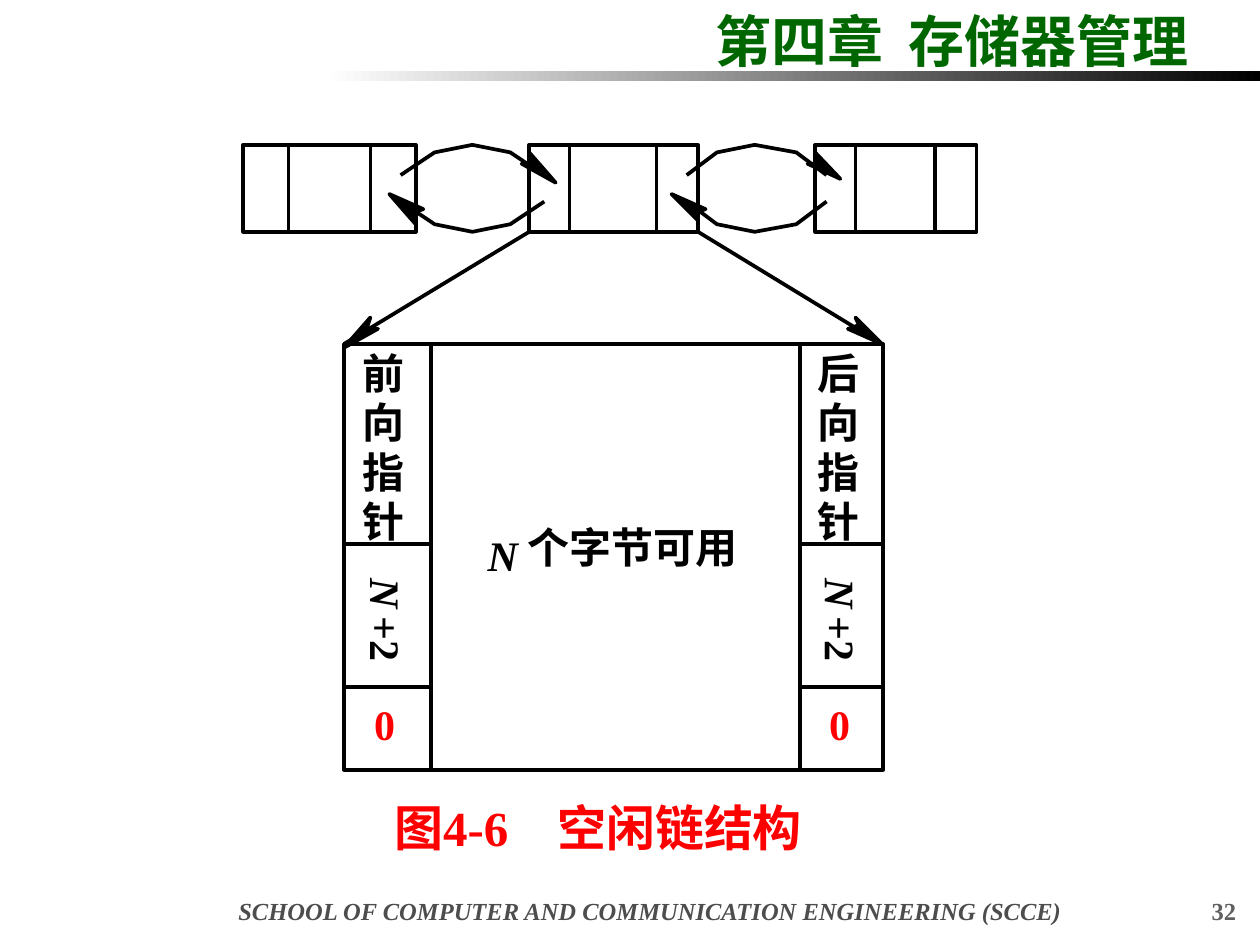
from dataclasses import dataclass
from itertools import pairwise

from lxml import etree
from pptx import Presentation
from pptx.dml.color import RGBColor
from pptx.enum.shapes import MSO_CONNECTOR, MSO_SHAPE
from pptx.enum.text import MSO_AUTO_SIZE, PP_ALIGN
from pptx.oxml.ns import qn
from pptx.util import Emu, Pt

RECTANGLE = MSO_SHAPE.RECTANGLE
STRAIGHT = MSO_CONNECTOR.STRAIGHT
FIT_TEXT = MSO_AUTO_SIZE.SHAPE_TO_FIT_TEXT
LEFT, CENTER, RIGHT = PP_ALIGN.LEFT, PP_ALIGN.CENTER, PP_ALIGN.RIGHT

# The slide is a grid of 1000 columns by 750 rows
COLUMNS, ROWS, CELL = 1000, 750, 9144

Point = tuple[int, int]


@dataclass(frozen=True)
class Theme:
    font: str = "Times New Roman"
    black: RGBColor = RGBColor(0, 0, 0)
    white: RGBColor = RGBColor(255, 255, 255)
    red: RGBColor = RGBColor(255, 0, 0)
    green: RGBColor = RGBColor(0, 0x66, 0)
    footer: RGBColor = RGBColor(0x4D, 0x4D, 0x4D)
    number: RGBColor = RGBColor(0x5F, 0x5F, 0x5F)
    title_size: int = 32
    caption_size: int = 28
    label_size: int = 24
    footer_size: int = 14
    line_width: float = 2.13


THEME = Theme()


@dataclass(frozen=True)
class Box:
    left: int
    top: int
    width: int
    height: int

    def lengths(self) -> list[Emu]:
        return [Emu(n * CELL) for n in (self.left, self.top, self.width, self.height)]


@dataclass(frozen=True)
class Label:
    text: str
    box: Box
    color: RGBColor = THEME.black
    size: int = THEME.label_size
    italic: bool = False
    rotation: int = 0
    align: PP_ALIGN = LEFT
    inset: Point = (0, 0)
    wrap: bool = False
    fit: bool = True


@dataclass(frozen=True)
class PointerColumn:
    left: int
    width: int
    text_left: int
    name: str


def draw_label(slide, label: Label) -> None:
    shape = slide.shapes.add_textbox(*label.box.lengths())
    shape.rotation = label.rotation
    frame = shape.text_frame
    frame.word_wrap = label.wrap
    frame.auto_size = FIT_TEXT if label.fit else MSO_AUTO_SIZE.NONE
    across, down = (Emu(n * CELL) for n in label.inset)
    frame.margin_left = frame.margin_right = across
    frame.margin_top = frame.margin_bottom = down
    paragraph = frame.paragraphs[0]
    paragraph.text = label.text
    paragraph.alignment = label.align
    font = paragraph.font
    font.name, font.size = THEME.font, Pt(label.size)
    font.bold, font.italic = True, label.italic
    font.color.rgb = label.color


def set_line(shape) -> None:
    shape.line.color.rgb = THEME.black
    shape.line.width = Pt(THEME.line_width)


def draw_cell(slide, box: Box) -> None:
    shape = slide.shapes.add_shape(RECTANGLE, *box.lengths())
    shape.shadow.inherit = False
    shape.fill.solid()
    shape.fill.fore_color.rgb = THEME.white
    set_line(shape)


def draw_outline(slide, points: list[Point], filled: bool) -> None:
    builder = slide.shapes.build_freeform(*points[0], scale=CELL)
    builder.add_line_segments(points[1:], close=filled)
    shape = builder.convert_to_shape()
    shape.shadow.inherit = False
    if filled:
        shape.fill.solid()
        shape.fill.fore_color.rgb = THEME.black
    else:
        shape.fill.background()
    set_line(shape)


def draw_line(slide, start: Point, end: Point) -> None:
    ends = [Emu(n * CELL) for n in (*start, *end)]
    connector = slide.shapes.add_connector(STRAIGHT, *ends)
    set_line(connector)
    etree.SubElement(connector._element.spPr, qn("a:effectLst"))


def draw_header_bar(slide) -> None:
    bar = slide.shapes.add_shape(RECTANGLE, *Box(258, 56, 742, 8).lengths())
    bar.shadow.inherit = False
    bar.line.fill.background()
    bar.fill.gradient()
    bar.fill.gradient_angle = 0
    for stop, color in zip(bar.fill.gradient_stops, (THEME.white, THEME.black)):
        stop.color.rgb = color


def draw_pointer_column(slide, column: PointerColumn) -> None:
    for top, bottom in pairwise((273, 432, 545, 611)):
        draw_cell(slide, Box(column.left, top, column.width, bottom - top))
    x = column.text_left
    for row, character in enumerate(column.name):
        draw_label(slide, Label(character, Box(x, 276 + 39 * row, 33, 40)))
    draw_label(slide, Label("N", Box(x + 7, 451, 24, 40), italic=True, rotation=90))
    draw_label(slide, Label("+2", Box(x + 1, 487, 36, 40), rotation=90))
    draw_label(slide, Label("0", Box(x + 9, 554, 17, 40), THEME.red))


PAGE_LABELS = [
    Label("第四章  存储器管理", Box(558, 0, 442, 64), THEME.green, THEME.title_size,
          inset=(10, 5), wrap=True),
    Label("SCHOOL OF COMPUTER AND COMMUNICATION ENGINEERING (SCCE)",
          Box(154, 706, 724, 28), THEME.footer, THEME.footer_size, italic=True,
          align=CENTER, inset=(10, 5), wrap=True, fit=False),
    Label("32", Box(783, 706, 208, 28), THEME.number, THEME.footer_size,
          align=RIGHT, inset=(10, 5), wrap=True, fit=False),
    Label("图4-6　空闲链结构", Box(303, 628, 369, 57), THEME.red, THEME.caption_size,
          inset=(10, 5)),
]
POINTER_COLUMNS = [
    PointerColumn(273, 69, 288, "前向指针"),
    PointerColumn(635, 66, 649, "后向指针"),
]
NODE_TOP, NODE_BOTTOM = 115, 184
NODE_EDGES = [(193, 229, 294, 330), (420, 452, 521, 554), (647, 679, 742, 775)]
ARC_COLUMNS = [(318, 345, 375, 405, 432), (545, 569, 599, 632, 656)]
ARC_ROWS = (139, 121, 115, 121, 139)
ZOOM_LINES = [((420, 184), (273, 273)), ((554, 184), (700, 273))]
ARROWHEADS = [
    [(420, 121), (420, 130), (414, 130), (441, 145)],
    [(330, 178), (327, 169), (336, 166), (309, 154)],
    [(647, 121), (647, 130), (641, 130), (667, 142)],
    [(554, 175), (551, 169), (560, 166), (533, 154)],
    [(300, 261), (291, 261), (294, 252), (273, 276)],
    [(673, 261), (682, 258), (679, 252), (700, 273)],
]


def main() -> None:
    presentation = Presentation()
    presentation.slide_width = Emu(COLUMNS * CELL)
    presentation.slide_height = Emu(ROWS * CELL)
    slide = presentation.slides.add_slide(presentation.slide_layouts[6])

    # Header, footer and caption
    draw_header_bar(slide)
    for label in PAGE_LABELS:
        draw_label(slide, label)

    # Enlarged block
    draw_cell(slide, Box(342, 273, 293, 338))
    draw_label(slide, Label("N", Box(387, 420, 24, 40), italic=True))
    draw_label(slide, Label("个字节可用", Box(419, 414, 167, 40)))
    for column in POINTER_COLUMNS:
        draw_pointer_column(slide, column)

    # Linked nodes
    for edges in NODE_EDGES:
        for left, right in pairwise(edges):
            draw_cell(slide, Box(left, NODE_TOP, right - left, NODE_BOTTOM - NODE_TOP))

    # Forward and backward links, the lower arc mirroring the upper
    mirrored_rows = [NODE_TOP + NODE_BOTTOM - row for row in ARC_ROWS]
    for columns in ARC_COLUMNS:
        for rows in (ARC_ROWS, mirrored_rows):
            draw_outline(slide, list(zip(columns, rows)), filled=False)
    for start, end in ZOOM_LINES:
        draw_line(slide, start, end)
    for points in ARROWHEADS:
        draw_outline(slide, points, filled=True)

    presentation.save("out.pptx")


if __name__ == "__main__":
    main()
